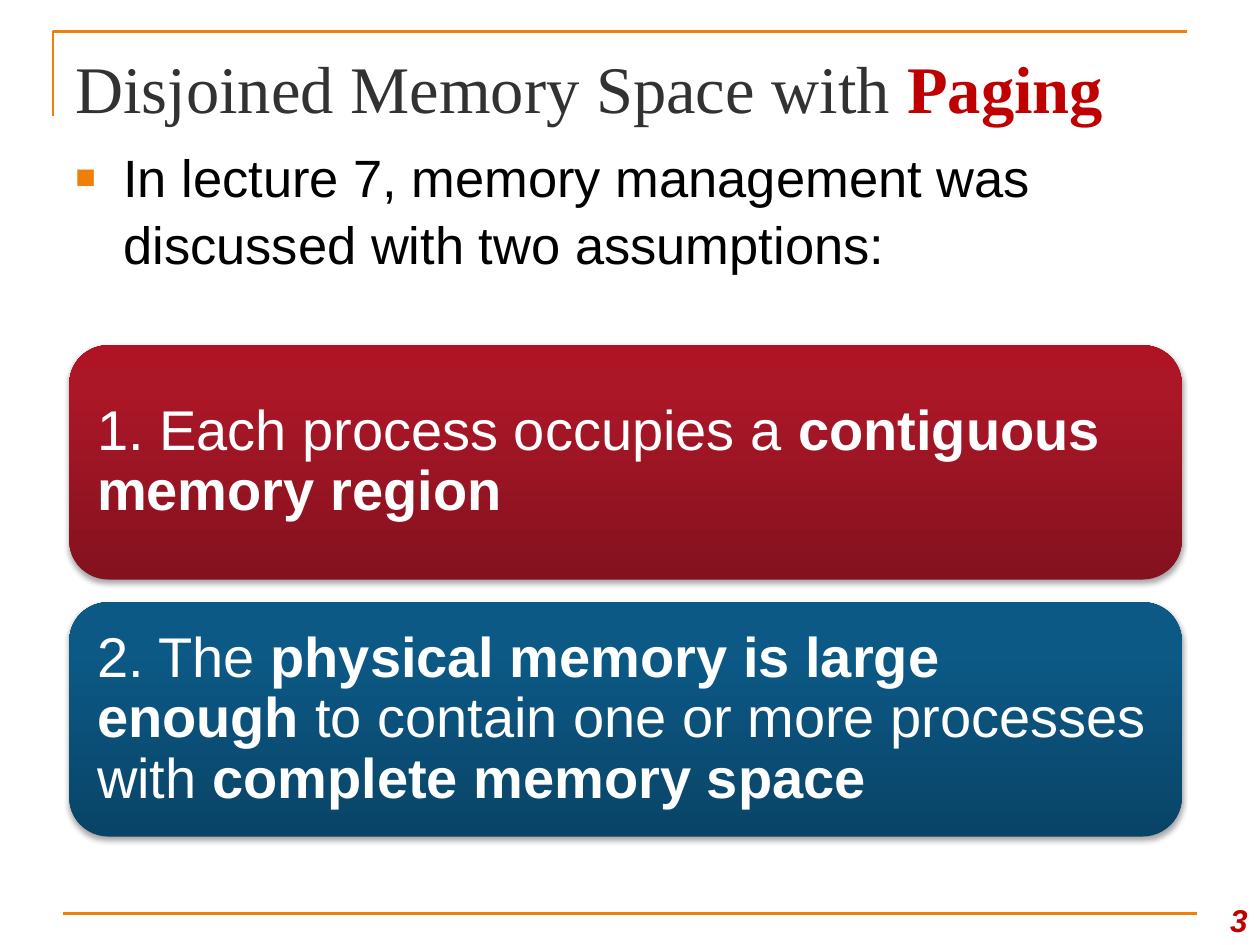
from copy import deepcopy
from dataclasses import dataclass

from lxml import etree
from pptx import Presentation
from pptx.dml.color import RGBColor
from pptx.enum import shapes, text
from pptx.oxml.ns import qn
from pptx.util import Inches, Pt


@dataclass(frozen=True)
class Theme:
    orange: str = "F07F09"
    red: str = "C00000"
    title_gray: str = "323232"
    black: str = "000000"
    white: str = "FFFFFF"
    red_gradient: tuple = ((0, "84111E"), (0.8, "AB1727"), (1, "AF1425"))
    blue_gradient: tuple = ((0, "094467"), (0.8, "0C5986"), (1, "0A5A89"))
    serif: str = "Times New Roman"
    sans: str = "Arial"
    title_size: int = 38
    body_size: int = 30
    card_size: int = 32
    number_size: int = 18
    rule_width: float = 1.5


theme = Theme()


def add_run(paragraph, words, size, color, face=theme.sans, bold=False):
    run = paragraph.add_run()
    run.text = words
    run.font.size = Pt(size)
    run.font.name = face
    run.font.bold = bold
    run.font.color.rgb = RGBColor.from_string(color)
    return run


def add_text_frame(left, top, width, height, anchor):
    box = slide.shapes.add_textbox(Inches(left), Inches(top), Inches(width), Inches(height))
    box.text_frame.word_wrap = True
    box.text_frame.vertical_anchor = anchor
    return box.text_frame


prs = Presentation()
prs.slide_width, prs.slide_height = Inches(10), Inches(7.5)
slide = prs.slides.add_slide(prs.slide_layouts[6])

# Corner rule above the title and rule at the foot
builder = slide.shapes.build_freeform(Inches(0.42), Inches(0.92))
builder.add_line_segments([(Inches(0.42), Inches(0.25)), (Inches(9.42), Inches(0.25))], close=False)
corner_rule = builder.convert_to_shape()
corner_rule.fill.background()
corner_rule.shadow.inherit = False
foot_rule = slide.shapes.add_connector(
    shapes.MSO_CONNECTOR.STRAIGHT, Inches(0.5), Inches(7.25), Inches(9.5), Inches(7.25))
etree.SubElement(foot_rule._element.spPr, qn("a:effectLst"))
for rule in (corner_rule, foot_rule):
    rule.line.color.rgb = RGBColor.from_string(theme.orange)
    rule.line.width = Pt(theme.rule_width)

# Title
title = add_text_frame(0.5, 0.3, 9, 0.78, text.MSO_ANCHOR.MIDDLE).paragraphs[0]
add_run(title, "Disjoined Memory Space with ", theme.title_size, theme.title_gray, theme.serif)
add_run(title, "Paging", theme.title_size, theme.red, theme.serif, bold=True)

# Introductory bullet
intro = add_text_frame(0.5, 1.08, 9, 1.25, text.MSO_ANCHOR.TOP).paragraphs[0]
intro.line_spacing = 1.05
bullet = intro._p.get_or_add_pPr()
bullet.set("marL", str(Inches(0.38)))
bullet.set("indent", str(Inches(-0.38)))
bullet_color = etree.SubElement(bullet, qn("a:buClr"))
etree.SubElement(bullet_color, qn("a:srgbClr"), val=theme.orange)
etree.SubElement(bullet, qn("a:buSzPct"), val="65000")
etree.SubElement(bullet, qn("a:buFont"), typeface=theme.sans)
etree.SubElement(bullet, qn("a:buChar"), char="■")
add_run(intro, "In lecture 7, memory management was discussed with two assumptions:",
        theme.body_size, theme.black)

# Assumption cards: (words, bold) runs on a vertical gradient
assumptions = [
    (theme.red_gradient, [("1. Each process occupies a ", False),
                          ("contiguous memory region", True)]),
    (theme.blue_gradient, [("2. The ", False),
                           ("physical memory is large enough ", True),
                           ("to contain one or more processes with ", False),
                           ("complete memory space", True)]),
]
for row, (gradient, runs) in enumerate(assumptions):
    card = slide.shapes.add_shape(
        shapes.MSO_SHAPE.ROUNDED_RECTANGLE,
        Inches(0.55), Inches(2.74 + row * 2.04), Inches(8.83), Inches(1.86))
    card.line.fill.background()
    card.fill.gradient()
    card.fill.gradient_angle = 90
    properties = card._element.spPr
    stop_list = properties.find(".//" + qn("a:gsLst"))
    stop_list.append(deepcopy(stop_list[0]))
    for stop, (position, color) in zip(card.fill.gradient_stops, gradient):
        stop.position = position
        stop.color.rgb = RGBColor.from_string(color)

    card.shadow.inherit = False
    shadow = etree.SubElement(
        properties.find(qn("a:effectLst")), qn("a:outerShdw"),
        blurRad=str(Pt(3.1)), dist=str(Pt(1.8)), dir="5400000", rotWithShape="0")
    shadow_color = etree.SubElement(shadow, qn("a:srgbClr"), val=theme.black)
    etree.SubElement(shadow_color, qn("a:alpha"), val="35000")

    frame = card.text_frame
    frame.word_wrap = True
    frame.vertical_anchor = text.MSO_ANCHOR.MIDDLE
    frame.margin_left = frame.margin_right = Inches(0.13)
    frame.margin_top = frame.margin_bottom = Inches(0.13)
    statement = frame.paragraphs[0]
    statement.alignment = text.PP_ALIGN.LEFT
    statement.line_spacing = 0.9
    for words, bold in runs:
        add_run(statement, words, theme.card_size, theme.white, bold=bold)

# Slide number
number = add_text_frame(9.42, 7, 0.58, 0.5, text.MSO_ANCHOR.BOTTOM).paragraphs[0]
number.alignment = text.PP_ALIGN.RIGHT
add_run(number, "3", theme.number_size, theme.red, bold=True).font.italic = True

prs.save("out.pptx")
